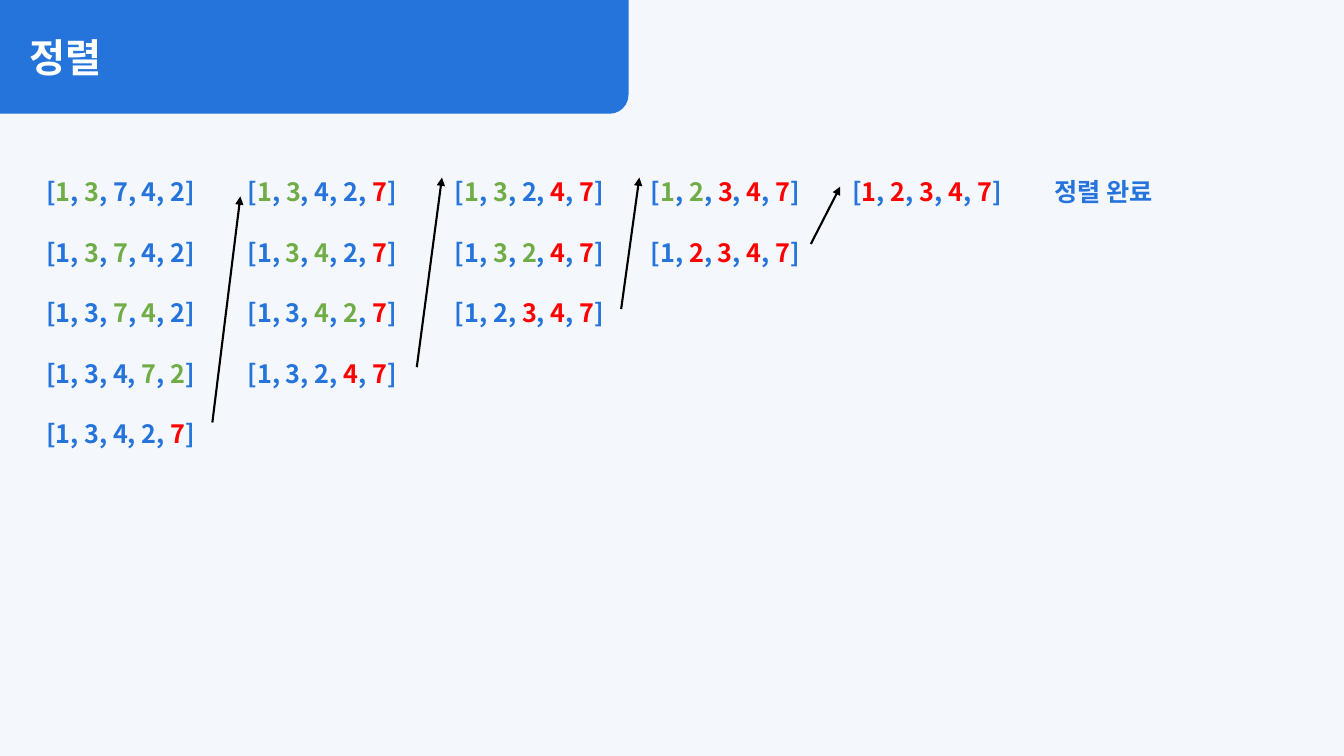
import collections
import dataclasses

import lxml.etree
import pptx
import pptx.dml.color
import pptx.enum.shapes
import pptx.enum.text
import pptx.oxml
import pptx.oxml.ns
import pptx.util

Pt = pptx.util.Pt
qn = pptx.oxml.ns.qn
Box = collections.namedtuple("Box", "left top width height")


@dataclasses.dataclass(frozen=True)
class Theme:
    font: str = "Noto Sans CJK KR"
    background: str = "F4F7FC"
    main: str = "2574DB"
    on_main: str = "FFFFFF"
    compared: str = "70AD47"
    settled: str = "FF0000"
    arrow: str = "000000"
    title_size: float = 28
    list_size: float = 18
    arrow_width: float = 1.5


THEME = Theme()
NUMBERS = [1, 3, 7, 4, 2]
TAB_SIZE = 72
COLUMN_GAPS = ["", "\t", "\t ", "\t", "\t"]
# Start and end of each arrow, relative to the list box
PASS_ARROWS = [
    ((126, 201), (146, 39.5)),
    ((272, 161.5), (290, 26)),
    ((418, 120), (431, 26)),
    ((553.5, 73.5), (574.5, 32.5)),
]


def rgb(color):
    return pptx.dml.color.RGBColor.from_string(color)


def add_text(paragraph, text, *, size, color, bold=True):
    run = paragraph.add_run()
    run.text = text
    run.font.name = THEME.font
    run.font.size = Pt(size)
    run.font.bold = bold
    run.font.color.rgb = rgb(color)
    east_asian = lxml.etree.SubElement(run.font._element, qn("a:ea"))
    east_asian.set("typeface", THEME.font)


def place(shape, box):
    shape.left, shape.top, shape.width, shape.height = map(Pt, box)


def prepare_frame(placeholder, box):
    place(placeholder, box)
    frame = placeholder.text_frame
    frame.word_wrap = True
    frame.vertical_anchor = pptx.enum.text.MSO_ANCHOR.TOP
    frame.auto_size = pptx.enum.text.MSO_AUTO_SIZE.SHAPE_TO_FIT_TEXT
    return frame


def sorting_passes(numbers):
    """Bubble sort: each pass lists (values, compared indexes, settled count)."""
    values, count = list(numbers), len(numbers)
    passes = []
    for settled in range(count):
        rows = []
        for i in range(count - 1 - settled):
            rows.append((values[:], (i, i + 1), settled))
            if values[i] > values[i + 1]:
                values[i], values[i + 1] = values[i + 1], values[i]
        rows.append((values[:], (), settled + 1))
        passes.append(rows)
    return passes


def add_state(paragraph, gap, values, compared, settled):
    def write(text, color=THEME.main):
        add_text(paragraph, text, size=THEME.list_size, color=color)

    write(gap + "[")
    for i, value in enumerate(values):
        if i:
            write(", ")
        if i in compared:
            write(str(value), THEME.compared)
        elif i >= len(values) - settled:
            write(str(value), THEME.settled)
        else:
            write(str(value))
    write("]")


def format_row(paragraph):
    paragraph.line_spacing = 2.0
    paragraph.space_before = Pt(0)
    # No bullet, no indent, evenly spaced tab stops
    properties = paragraph._p.get_or_add_pPr()
    properties.set("marL", "0")
    properties.set("indent", "0")
    properties.set("defTabSz", str(Pt(TAB_SIZE)))
    lxml.etree.SubElement(properties, qn("a:buNone"))


def add_header(slide, box):
    title = slide.shapes.title
    frame = prepare_frame(title, Box(box.left + 13.7, box.top + 20.2, box.width - 28, 41))
    heading = frame.paragraphs[0]
    heading.alignment = pptx.enum.text.PP_ALIGN.LEFT
    add_text(heading, "정렬", size=THEME.title_size, color=THEME.on_main)

    # Banner behind the title, rounded at the bottom right
    banner = slide.shapes.add_shape(
        pptx.enum.shapes.MSO_SHAPE.ROUND_1_RECTANGLE, *map(Pt, box))
    banner.shadow.inherit = False
    banner.fill.solid()
    banner.fill.fore_color.rgb = rgb(THEME.main)
    banner.line.fill.background()
    banner.element.spPr.xfrm.set("flipV", "1")
    title.element.addprevious(banner.element)


def add_arrow(slide, start, end):
    arrow = slide.shapes.add_connector(
        pptx.enum.shapes.MSO_CONNECTOR.STRAIGHT, *map(Pt, start + end))
    arrow.line.color.rgb = rgb(THEME.arrow)
    arrow.line.width = Pt(THEME.arrow_width)
    lxml.etree.SubElement(arrow.line._get_or_add_ln(), qn("a:tailEnd"), type="triangle")
    lxml.etree.SubElement(arrow.element.spPr, qn("a:effectLst"))


def add_sorting_steps(slide, box):
    frame = prepare_frame(slide.placeholders[1], box)
    passes = sorting_passes(NUMBERS)

    # One paragraph per row, one tab column per pass
    for row in range(len(NUMBERS)):
        paragraph = frame.add_paragraph() if row else frame.paragraphs[0]
        format_row(paragraph)
        for gap, states in zip(COLUMN_GAPS, passes):
            if row < len(states):
                add_state(paragraph, gap, *states[row])
        if row == 0:
            add_text(paragraph, "\t정렬 완료", size=THEME.list_size, color=THEME.main)

    # Arrows from the end of a pass to the start of the next
    for points in PASS_ARROWS:
        start, end = ((box.left + x, box.top + y) for x, y in points)
        add_arrow(slide, start, end)


deck = pptx.Presentation()
deck.slide_width, deck.slide_height = Pt(960), Pt(540)
sorting_slide = deck.slides.add_slide(deck.slide_layouts[1])
sorting_slide.background.fill.solid()
sorting_slide.background.fill.fore_color.rgb = rgb(THEME.background)

add_header(sorting_slide, Box(0, 0, 449, 81.3))
add_sorting_steps(sorting_slide, Box(25.7, 100.8, 908, 218.2))

deck.save("out.pptx")
